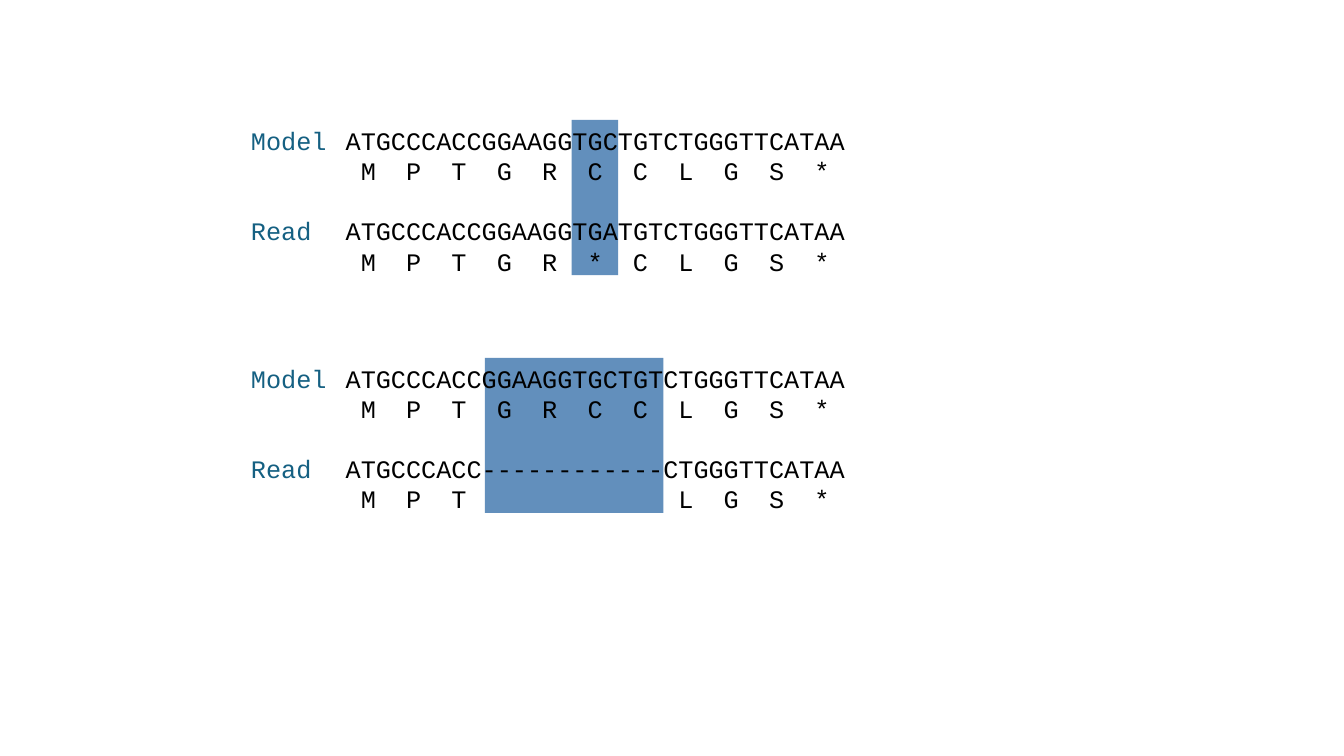
from dataclasses import dataclass

from lxml.etree import SubElement
from pptx import Presentation
from pptx.dml.color import RGBColor
from pptx.enum.shapes import MSO_SHAPE
from pptx.enum.text import MSO_AUTO_SIZE
from pptx.oxml.ns import qn
from pptx.util import Inches, Pt

BLACK = RGBColor(0x00, 0x00, 0x00)
TEAL = RGBColor(0x15, 0x60, 0x82)
BLUE = RGBColor(0x62, 0x8F, 0xBC)

# Grid: one column per base, one row per line of text
COL, ROW = 0.15, 0.3
LEFT, PAD = 3.33, 0.1
LABEL = 2.39
LINE = Pt(21.6)
FONT = {"name": "Courier New", "size": Pt(18)}


@dataclass
class Strand:
    bases: str
    acids: str  # one letter per codon, "-" for a lost codon


@dataclass
class Panel:
    top: float
    start: float  # band start, in columns
    span: float  # band width, in columns
    model: Strand
    read: Strand


MODEL = Strand("ATGCCCACCGGAAGGTGCTGTCTGGGTTCATAA", "MPTGRCCLGS*")
PANELS = [
    Panel(3.55, 9.2, 11.8, MODEL,
          Strand("ATGCCCACC------------CTGGGTTCATAA", "MPT----LGS*")),
    Panel(1.19, 14.93, 3.07, MODEL,
          Strand("ATGCCCACCGGAAGGTGATGTCTGGGTTCATAA", "MPTGR*CLGS*")),
]


def add_box(slide, left: float, top: float, width: float, height: float):
    box = slide.shapes.add_textbox(*map(Inches, (left, top, width, height)))
    frame = box.text_frame
    frame.word_wrap = True
    frame.auto_size = MSO_AUTO_SIZE.SHAPE_TO_FIT_TEXT
    return frame


def add_line(frame, text: str, color: RGBColor, gap: int = 0):
    """Write a line of text, with a gap of so many rows above it."""
    first = frame.paragraphs[0]
    para = frame.add_paragraph() if first.runs else first
    para.line_spacing = LINE
    para.space_before = LINE * gap
    run = para.add_run()
    run.text = text
    for key, value in FONT.items():
        setattr(run.font, key, value)
    run.font.color.rgb = color
    return para


def add_strand(frame, strand: Strand, gap: int = 0) -> None:
    add_line(frame, strand.bases, BLACK, gap)
    kept = [(i, acid) for i, acid in enumerate(strand.acids) if acid != "-"]
    para = add_line(frame, "".join("\t" + acid for _, acid in kept), BLACK)
    # A tab stop at the middle base of each codon
    stops = SubElement(para._p.get_or_add_pPr(), qn("a:tabLst"))
    for i, _ in kept:
        place = Inches(round((3 * i + 1) * COL, 2))
        SubElement(stops, qn("a:tab"), pos=str(place), algn="l")


def add_panel(slide, panel: Panel) -> None:
    # Band behind the changed codons
    left = LEFT + PAD + panel.start * COL
    band = slide.shapes.add_shape(
        MSO_SHAPE.RECTANGLE, Inches(left), Inches(panel.top),
        Inches(panel.span * COL), Inches(5.13 * ROW))
    band.shadow.inherit = False
    band.fill.solid()
    band.fill.fore_color.rgb = BLUE
    band.line.fill.background()

    # Bases and acids
    frame = add_box(slide, LEFT, panel.top, 6.67, 2.22)
    add_strand(frame, panel.model)
    add_strand(frame, panel.read, gap=1)

    # Row labels
    frame = add_box(slide, LABEL, panel.top, 0.95, 1.31)
    add_line(frame, "Model", TEAL)
    add_line(frame, "Read", TEAL, gap=2)


def main() -> None:
    deck = Presentation()
    deck.slide_width, deck.slide_height = Inches(13.33), Inches(7.5)
    slide = deck.slides.add_slide(deck.slide_layouts[6])
    for panel in PANELS:
        add_panel(slide, panel)
    deck.save("out.pptx")


if __name__ == "__main__":
    main()
